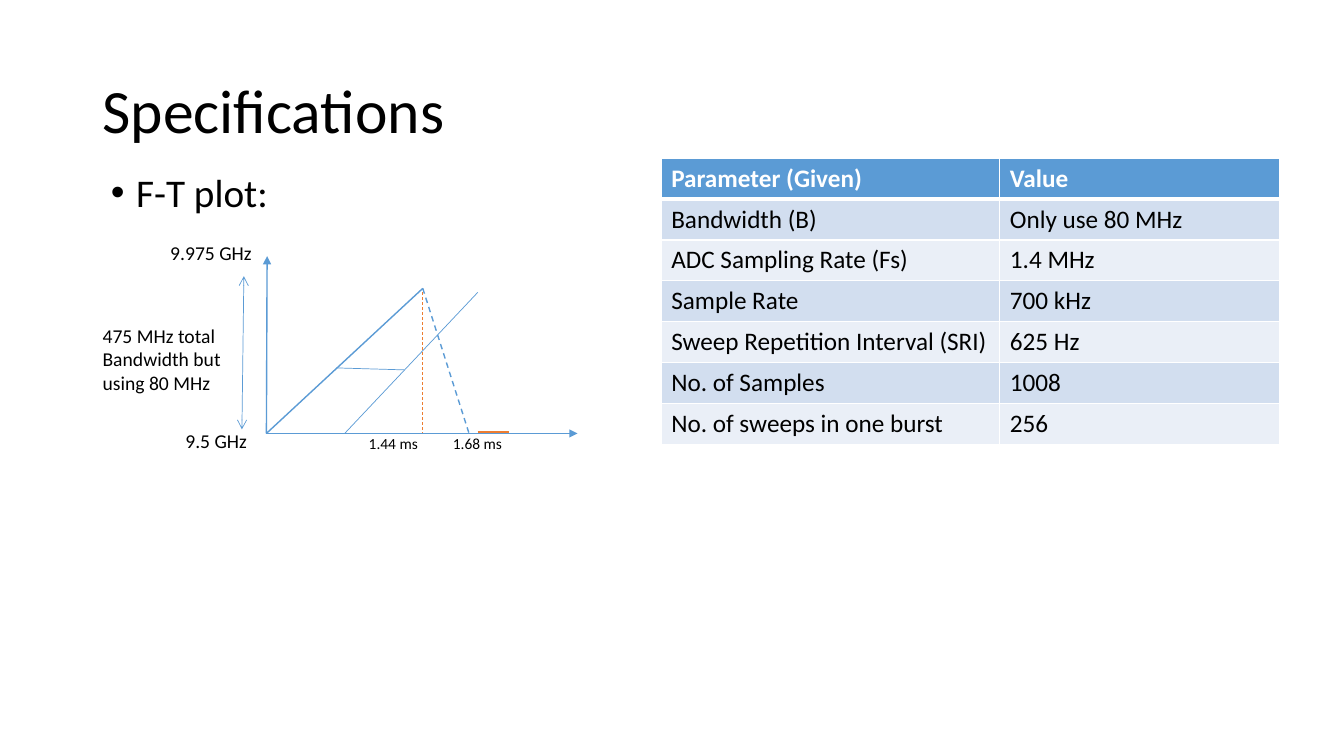
import dataclasses
import typing

import pptx
import pptx.dml.color
import pptx.enum.dml
import pptx.enum.shapes
import pptx.enum.text
import pptx.oxml.ns
import pptx.slide
import pptx.text.text
import pptx.util
from lxml import etree

Pt = pptx.util.Pt
qn = pptx.oxml.ns.qn


@dataclasses.dataclass(frozen=True)
class Theme:
    font: str = "Calibri"
    text: str = "000000"
    white: str = "FFFFFF"
    blue: str = "5B9BD5"
    orange: str = "ED7D31"
    bands: tuple[str, str] = ("EAEFF7", "D2DEEF")
    title_size: float = 44
    body_size: float = 28
    table_size: float = 18
    label_size: float = 14
    time_size: float = 11


@dataclasses.dataclass(frozen=True)
class Label:
    text: str
    left: float
    top: float
    width: float
    height: float
    size: float


@dataclasses.dataclass(frozen=True)
class Line:
    start: tuple[float, float]
    end: tuple[float, float]
    color: str
    weight: float
    dashed: bool = False
    head: typing.Optional[str] = None
    tail: typing.Optional[str] = None


THEME = Theme()
ORIGIN = (190.3, 309.6)
PEAK = (302, 206)

LINES = [
    # Bandwidth span and axes
    Line((172.8, 306.7), (174.2, 197.3), THEME.blue, 0.5, head="arrow", tail="arrow"),
    Line(ORIGIN, (190.8, 182.9), THEME.blue, 1, tail="triangle"),
    Line(ORIGIN, (412.6, 309.6), THEME.blue, 1, tail="triangle"),
    # Transmitted sweep: ramp up, then fall back
    Line(ORIGIN, PEAK, THEME.blue, 1),
    Line(PEAK, (335.5, 311), THEME.blue, 1, dashed=True),
    Line((302, 208.8), (302, 309.6), THEME.orange, 0.5, dashed=True),
    # Idle time, received sweep and beat offset
    Line((341.3, 308.9), (363.6, 308.9), THEME.orange, 1.5),
    Line((246.2, 309.6), (341.3, 208.8), THEME.blue, 0.5),
    Line((240.5, 262.8), (288.7, 264.2), THEME.blue, 0.5),
]

LABELS = [
    Label("475 MHz total Bandwidth but using 80 MHz", 66.2, 227.5, 106.6, 58.3, THEME.label_size),
    Label("9.5 GHz", 125.3, 303.1, 95, 24.5, THEME.label_size),
    Label("9.975 GHz", 114.5, 168.5, 118, 24.5, THEME.label_size),
    Label("1.44 ms", 256.3, 306.7, 58, 20.9, THEME.time_size),
    Label("1.68 ms", 316.4, 306.7, 58, 20.9, THEME.time_size),
]

PARAMETERS = [
    ("Parameter (Given)", "Value"),
    ("Bandwidth (B)", "Only use 80 MHz"),
    ("ADC Sampling Rate (Fs)", "1.4 MHz"),
    ("Sample Rate", "700 kHz"),
    ("Sweep Repetition Interval (SRI)", "625 Hz"),
    ("No. of Samples", "1008"),
    ("No. of sweeps in one burst", "256"),
]


def rgb(color: str) -> pptx.dml.color.RGBColor:
    return pptx.dml.color.RGBColor.from_string(color)


def style_text(para: pptx.text.text._Paragraph, size: float,
               color: str = THEME.text, bold: bool = False) -> None:
    para.alignment = pptx.enum.text.PP_ALIGN.LEFT
    for span in para.runs:
        span.font.name = THEME.font
        span.font.size = Pt(size)
        span.font.bold = bold
        span.font.color.rgb = rgb(color)


def fill_placeholder(page: pptx.slide.Slide, index: int, label: Label, anchor):
    box = page.placeholders[index]
    box.left, box.top = Pt(label.left), Pt(label.top)
    box.width, box.height = Pt(label.width), Pt(label.height)
    frame = box.text_frame
    frame.text = label.text
    frame.auto_size = pptx.enum.text.MSO_AUTO_SIZE.NONE
    frame.vertical_anchor = anchor
    para = frame.paragraphs[0]
    para.line_spacing = 0.9
    style_text(para, label.size)
    return para


def draw_label(page: pptx.slide.Slide, label: Label) -> None:
    box = page.shapes.add_textbox(Pt(label.left), Pt(label.top), Pt(label.width), Pt(label.height))
    box.text_frame.word_wrap = True
    box.text_frame.text = label.text
    style_text(box.text_frame.paragraphs[0], label.size)


def draw_line(page: pptx.slide.Slide, line: Line) -> None:
    connector = page.shapes.add_connector(
        pptx.enum.shapes.MSO_CONNECTOR.STRAIGHT, *map(Pt, line.start + line.end))
    connector.line.color.rgb = rgb(line.color)
    connector.line.width = Pt(line.weight)
    if line.dashed:
        connector.line.dash_style = pptx.enum.dml.MSO_LINE.DASH
    outline = connector.line._get_or_add_ln()
    for tag, kind in (("a:headEnd", line.head), ("a:tailEnd", line.tail)):
        if kind:
            etree.SubElement(outline, qn(tag), type=kind)
    etree.SubElement(connector._element.spPr, qn("a:effectLst"))


def add_borders(cell, top: float, bottom: float) -> None:
    properties = cell._tc.get_or_add_tcPr()
    for tag, weight in (("a:lnL", 1), ("a:lnR", 1), ("a:lnT", top), ("a:lnB", bottom)):
        border = etree.SubElement(properties, qn(tag), w=str(Pt(weight)))
        solid = etree.SubElement(border, qn("a:solidFill"))
        etree.SubElement(solid, qn("a:srgbClr"), val=THEME.white)


def draw_table(page: pptx.slide.Slide) -> None:
    row_height = 29.2
    table = page.shapes.add_table(
        len(PARAMETERS), 2, Pt(472.3), Pt(113), Pt(441.4), Pt(row_height * len(PARAMETERS))).table
    for column, width in zip(table.columns, (241.9, 199.5)):
        column.width = Pt(width)
    for row, values in enumerate(PARAMETERS):
        table.rows[row].height = Pt(row_height)
        header = row == 0
        for column, value in enumerate(values):
            cell = table.cell(row, column)
            cell.text = value
            style_text(cell.text_frame.paragraphs[0], THEME.table_size,
                       THEME.white if header else THEME.text, header)
            add_borders(cell, top=3 if row == 1 else 1, bottom=3 if header else 1)
            cell.fill.solid()
            cell.fill.fore_color.rgb = rgb(THEME.blue if header else THEME.bands[row % 2])


def main() -> None:
    deck = pptx.Presentation()
    deck.slide_width, deck.slide_height = Pt(960), Pt(540)
    page = deck.slides.add_slide(deck.slide_layouts[1])

    # Title and bullet
    anchors = pptx.enum.text.MSO_ANCHOR
    fill_placeholder(page, 0, Label("Specifications", 66, 28.8, 828, 104.4, THEME.title_size),
                     anchors.MIDDLE)
    bullet = fill_placeholder(page, 1, Label("F-T plot:", 72, 120.2, 408, 342.7, THEME.body_size),
                              anchors.TOP)
    bullet.space_before = Pt(10)
    indents = bullet._p.get_or_add_pPr()
    indents.set("marL", str(Pt(18)))
    indents.set("indent", str(-Pt(18)))

    # Parameter table
    draw_table(page)

    # Frequency-time plot
    for line in LINES:
        draw_line(page, line)
    for label in LABELS:
        draw_label(page, label)

    deck.save("out.pptx")


if __name__ == "__main__":
    main()
